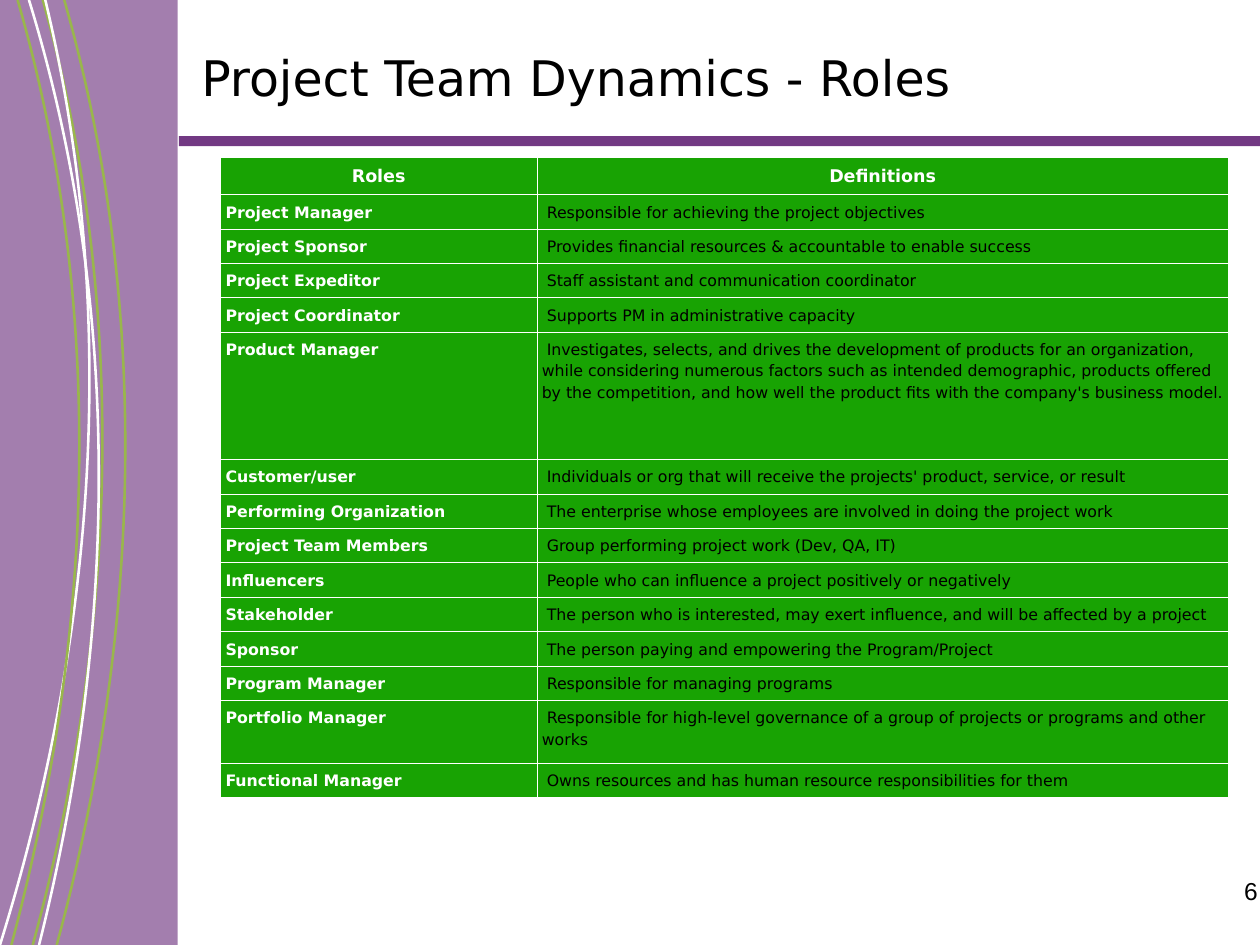
"""Build the project team roles slide."""
from lxml.etree import SubElement
from pptx import Presentation
from pptx.dml.color import RGBColor
from pptx.enum.shapes import MSO_SHAPE
from pptx.enum.text import MSO_ANCHOR, PP_ALIGN
from pptx.oxml.ns import qn
from pptx.util import Inches, Pt

PURPLE, OLIVE, WHITE, GREEN, BLACK = "723983", "99B64C", "FFFFFE", "18A303", "000000"

ROLES = [
    ("Project Manager", "Responsible for achieving the project objectives"),
    ("Project Sponsor", "Provides financial resources & accountable to enable success"),
    ("Project Expeditor", "Staff assistant and communication coordinator"),
    ("Project Coordinator", "Supports PM in administrative capacity"),
    ("Product Manager", "Investigates, selects, and drives the development of products for an "
     "organization, while considering numerous factors such as intended demographic, "
     "products offered by the competition, and how well the product fits with the "
     "company's business model."),
    ("Customer/user", "Individuals or org that will receive the projects' product, service, or result"),
    ("Performing Organization", "The enterprise whose employees are involved in doing the project work"),
    ("Project Team Members", "Group performing project work (Dev, QA, IT)"),
    ("Influencers", "People who can influence a project positively or negatively"),
    ("Stakeholder", "The person who is interested, may exert influence, and will be affected by a project"),
    ("Sponsor", "The person paying and empowering the Program/Project"),
    ("Program Manager", "Responsible for managing programs"),
    ("Portfolio Manager", "Responsible for high-level governance of a group of projects or programs "
     "and other works"),
    ("Functional Manager", "Owns resources and has human resource responsibilities for them"),
]
TALL_ROWS = {"Product Manager": 1.01, "Portfolio Manager": 0.5}

SWOOSHES = [
    (OLIVE, [(0.34, 0), (1.15, 2.88), (0.78, 5.59), (0.26, 7.5)]),
    (OLIVE, [(0.45, 7.5), (0.97, 5.59), (1.33, 2.88), (0.51, 0)]),
    (WHITE, [(0.23, 0), (1.11, 2.87), (0.79, 5.59), (0.31, 7.5)]),
    (WHITE, [(0.36, 0), (1.06, 2.91), (0.59, 5.61), (0, 7.5)]),
    (OLIVE, [(0.14, 0), (0.97, 2.88), (0.6, 5.59), (0.09, 7.5)]),
]


def color(value):
    return RGBColor.from_string(value)


def apply(target, formats):
    for name, value in formats.items():
        setattr(target, name, value)


class RolesSlide:
    """Holds the slide and its style, with a method for each kind of element."""

    font = "DejaVu Sans"
    cell_format = {
        "margin_left": Inches(0.04), "margin_right": Inches(0.04),
        "margin_top": Inches(0.05), "margin_bottom": Inches(0.05),
    }

    def __init__(self, deck):
        self.slide = deck.slides.add_slide(deck.slide_layouts[6])

    def wording(self, frame, text, size, ink=BLACK, bold=False, font=None, **layout):
        paragraph = frame.paragraphs[0]
        apply(paragraph, layout)
        run = paragraph.add_run()
        run.text = text
        apply(run.font, {"name": font or self.font, "size": Pt(size), "bold": bold})
        run.font.color.rgb = color(ink)
        return paragraph

    def text(self, box, text, size, anchor=MSO_ANCHOR.TOP, **style):
        frame = self.slide.shapes.add_textbox(*map(Inches, box)).text_frame
        apply(frame, {"word_wrap": True, "vertical_anchor": anchor})
        self.wording(frame, text, size, **style)

    def bar(self, box, fill, opacity=100):
        bar = self.slide.shapes.add_shape(MSO_SHAPE.RECTANGLE, *map(Inches, box))
        bar.shadow.inherit = False
        bar.fill.solid()
        bar.fill.fore_color.rgb = color(fill)
        bar.line.fill.background()
        if opacity < 100:
            tint = bar._element.spPr.find(".//" + qn("a:srgbClr"))
            SubElement(tint, qn("a:alpha"), val=str(opacity * 1000))

    def curve(self, points, ink):
        start, *rest = [(Inches(x), Inches(y)) for x, y in points]
        builder = self.slide.shapes.build_freeform(*start)
        builder.add_line_segments(rest, close=False)
        curve = builder.convert_to_shape()
        outline = curve._element.find(".//" + qn("a:path"))
        bezier = SubElement(outline, qn("a:cubicBezTo"))
        for segment in outline.findall(qn("a:lnTo")):
            bezier.append(segment[0])
            outline.remove(segment)
        curve.shadow.inherit = False
        curve.fill.background()
        curve.line.color.rgb = color(ink)
        curve.line.width = Pt(1.47)

    def cell(self, cell, top, bottom):
        apply(cell, self.cell_format)
        properties = cell._tc.get_or_add_tcPr()
        for side, points in {"L": 0.23, "R": 0.23, "T": top, "B": bottom}.items():
            border = SubElement(properties, qn("a:ln" + side), w=str(Pt(points)))
            SubElement(SubElement(border, qn("a:solidFill")), qn("a:srgbClr"), val="FFFFFF")
        cell.fill.solid()
        cell.fill.fore_color.rgb = color(GREEN)

    def table(self, box, headings, entries, widths):
        rows = [headings, *entries]
        table = self.slide.shapes.add_table(len(rows), len(widths), *map(Inches, box)).table
        apply(table, {"first_row": False, "horz_banding": False})
        for column, width in zip(table.columns, widths):
            column.width = Inches(width)
        for r, entry in enumerate(rows):
            is_heading = r == 0
            height = 0.27 if is_heading else TALL_ROWS.get(entry[0], 0.24)
            table.rows[r].height = Inches(height)
            for c, words in enumerate(entry):
                cell = table.cell(r, c)
                self.cell(cell, 0.75 if r == 1 else 0.23, 0.75 if is_heading else 0.23)
                strong = is_heading or c == 0
                paragraph = self.wording(
                    cell.text_frame, words, 10 if is_heading else 9,
                    ink="FFFFFF" if strong else BLACK, bold=strong, line_spacing=1.15,
                    alignment=PP_ALIGN.CENTER if is_heading else PP_ALIGN.LEFT)
                if not strong:
                    paragraph._p.get_or_add_pPr().set("indent", str(Inches(0.04)))


def main():
    deck = Presentation()
    apply(deck, {"slide_width": Inches(10), "slide_height": Inches(7.5)})
    page = RolesSlide(deck)
    page.bar((1.42, 1.08, 8.58, 0.08), PURPLE)
    page.bar((0, 0, 1.41, 7.5), PURPLE, opacity=65)
    for ink, points in SWOOSHES:
        page.curve(points, ink)
    page.text((1.5, 0.17, 8.5, 0.88), "Project Team Dynamics - Roles", 28, MSO_ANCHOR.MIDDLE)
    page.text((7.75, 6.9, 2.33, 0.52), "6", 14, font="Arial", alignment=PP_ALIGN.RIGHT)
    page.table((1.75, 1.25, 8, 4.67), ("Roles", "Definitions"), ROLES, (2.51, 5.49))
    deck.save("out.pptx")


if __name__ == "__main__":
    main()
